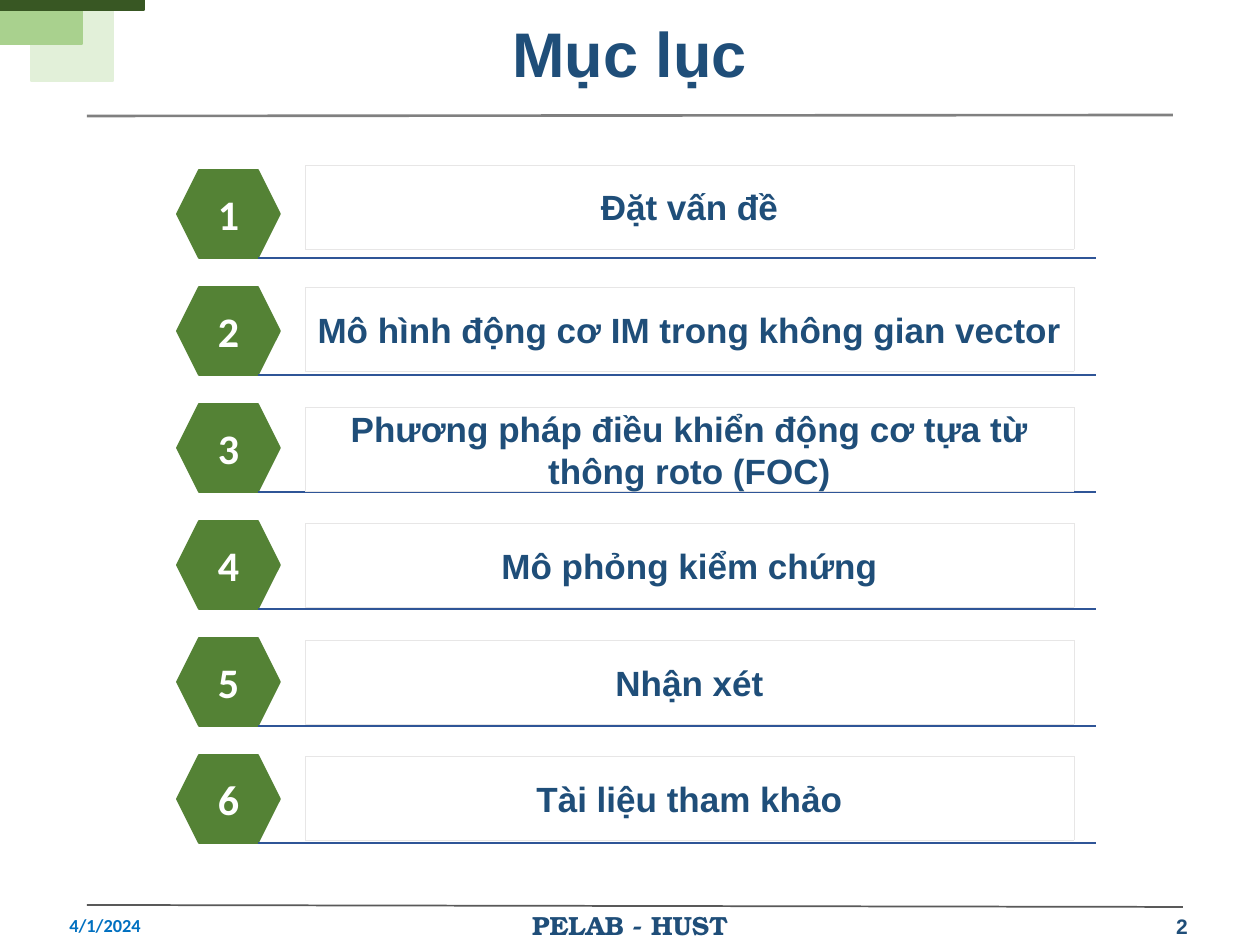
"""Build the table-of-contents slide with six numbered sections."""
from lxml import etree
from pptx import Presentation
from pptx import util as u
from pptx.dml.color import RGBColor
from pptx.enum import dml, shapes, text
from pptx.oxml.ns import qn

SCALE = 914400 / 126
WHITE = RGBColor(0xFF, 0xFF, 0xFF)
NAVY = RGBColor(0x1F, 0x4E, 0x79)
BLUE = RGBColor(0x00, 0x70, 0xC0)
RULE_BLUE = RGBColor(0x2F, 0x55, 0x97)
GREEN = RGBColor(0x54, 0x82, 0x35)
DARK_GREEN = RGBColor(0x38, 0x57, 0x23)
MID_GREEN = RGBColor(0xA9, 0xD1, 0x8E)
PALE_GREEN = RGBColor(0xE2, 0xF0, 0xD9)
PALE_GRAY = RGBColor(0xE7, 0xE6, 0xE6)
GRAY = RGBColor(0x80, 0x80, 0x80)
DARK_GRAY = RGBColor(0x59, 0x59, 0x59)

RECTANGLE = shapes.MSO_SHAPE.RECTANGLE
HEXAGON = shapes.MSO_SHAPE.HEXAGON
CENTER = text.PP_ALIGN.CENTER
LEFT = text.PP_ALIGN.LEFT
MIDDLE = text.MSO_ANCHOR.MIDDLE
TOP = text.MSO_ANCHOR.TOP

FIRST_TOP, PITCH = 170, 117
SECTIONS = [
    ("Đặt vấn đề", -5),
    ("Mô hình động cơ IM trong không gian vector", 0),
    ("Phương pháp điều khiển động cơ tựa từ thông roto (FOC)", 3),
    ("Mô phỏng kiểm chứng", 2),
    ("Nhận xét", 2),
    ("Tài liệu tham khảo", 1),
]


def px(*lengths):
    return [u.Emu(round(length * SCALE)) for length in lengths]


class Painter:
    """Draw styled elements on the current slide."""

    def __init__(self, slide, font="Arial", color=NAVY):
        self.slide = slide
        self.font = font
        self.color = color

    def caption(self, shape, words, size, font=None, color=None, align=CENTER,
                anchor=MIDDLE, wrap=True):
        frame = shape.text_frame
        frame.word_wrap = wrap
        frame.vertical_anchor = anchor
        para = frame.paragraphs[0]
        para.text = words
        para.alignment = align
        para.font.name = font or self.font
        para.font.size = u.Pt(size)
        para.font.bold = True
        para.font.color.rgb = color or self.color
        return para

    def label(self, at, words, size, **style):
        box = self.slide.shapes.add_textbox(*px(*at))
        return self.caption(box, words, size, **style)

    def shape(self, kind, at, fill, line=None, width=1):
        shape = self.slide.shapes.add_shape(kind, *px(*at))
        shape.shadow.inherit = False
        shape.fill.solid()
        shape.fill.fore_color.rgb = fill
        shape.line.color.rgb = line or fill
        shape.line.width = u.Pt(width)
        return shape

    def rule(self, ends, color, width=1):
        line = self.slide.shapes.add_connector(
            shapes.MSO_CONNECTOR.STRAIGHT, *px(*ends))
        line.line.color.rgb = color
        line.line.width = u.Pt(width)
        etree.SubElement(line._element.spPr, qn("a:effectLst"))

    def section(self, number, words, top, nudge):
        badge = self.shape(HEXAGON, (177, top, 103, 88), GREEN)
        self.caption(badge, str(number), 24, font="Calibri", color=WHITE)
        self.rule((258, top + 88, 1096, top + 88), RULE_BLUE)
        box = self.shape(RECTANGLE, (305, top + nudge, 769, 84), WHITE,
                         PALE_GRAY, 0.25)
        box.line.dash_style = dml.MSO_LINE.ROUND_DOT
        self.caption(box, words, 20)


def main():
    deck = Presentation()
    deck.slide_width, deck.slide_height = px(1260, 945)
    page = Painter(deck.slides.add_slide(deck.slide_layouts[6]))

    page.shape(RECTANGLE, (31, 0, 82, 81), PALE_GREEN)
    page.shape(RECTANGLE, (0, 5, 82, 39), MID_GREEN)
    page.shape(RECTANGLE, (0, 0, 144, 10), DARK_GREEN)
    page.rule((87, 116, 1173, 115), GRAY, 1.5)
    title = page.label((141, 20, 977, 74), "Mục lục", 36)
    title.line_spacing = 0.9

    for index, (words, nudge) in enumerate(SECTIONS):
        page.section(index + 1, words, FIRST_TOP + index * PITCH, nudge)

    page.rule((87, 905, 1183, 907), DARK_GRAY)
    page.label((57, 905, 284, 40), "4/1/2024", 10.5, font="Calibri",
               color=BLUE, align=LEFT)
    page.label((519, 903, 222, 44), "PELAB - HUST", 15,
               font="TeX Gyre Bonum", anchor=TOP, wrap=False)
    page.label((1150, 907, 64, 38), "2", 12)
    deck.save("out.pptx")


if __name__ == "__main__":
    main()
